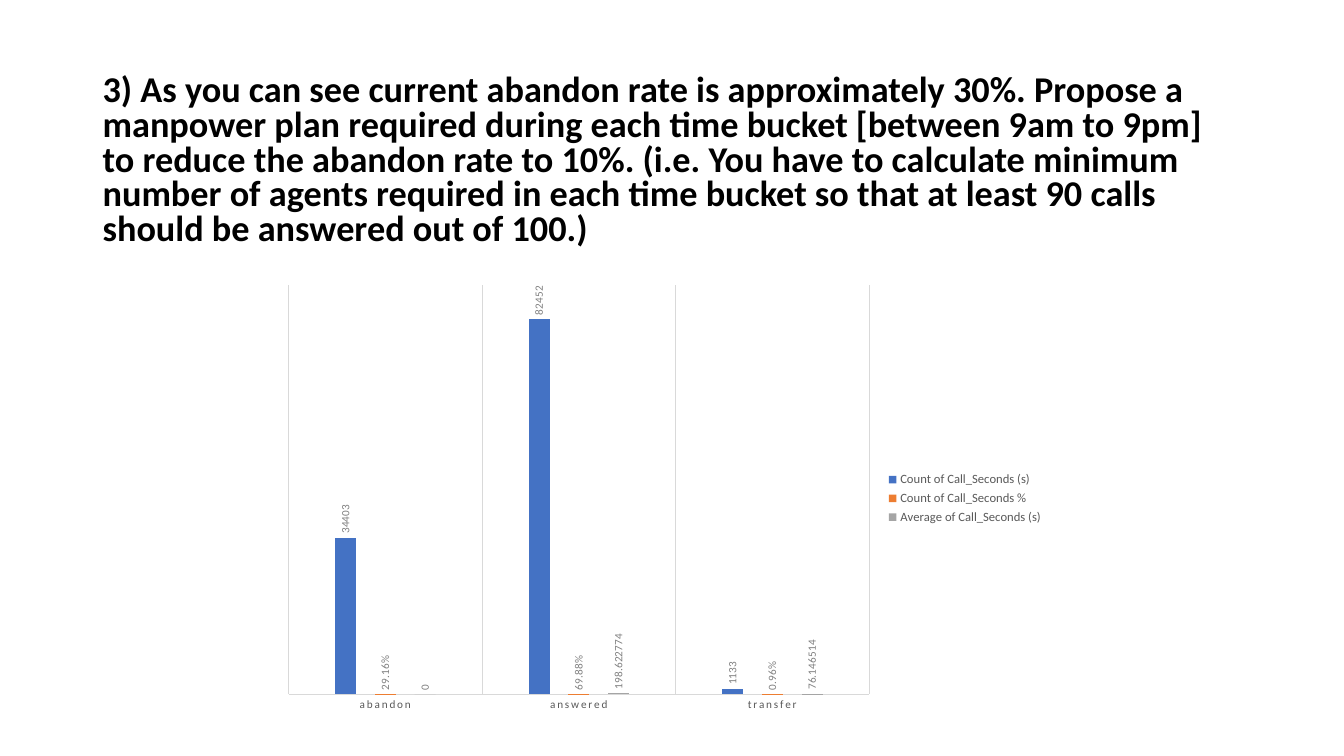
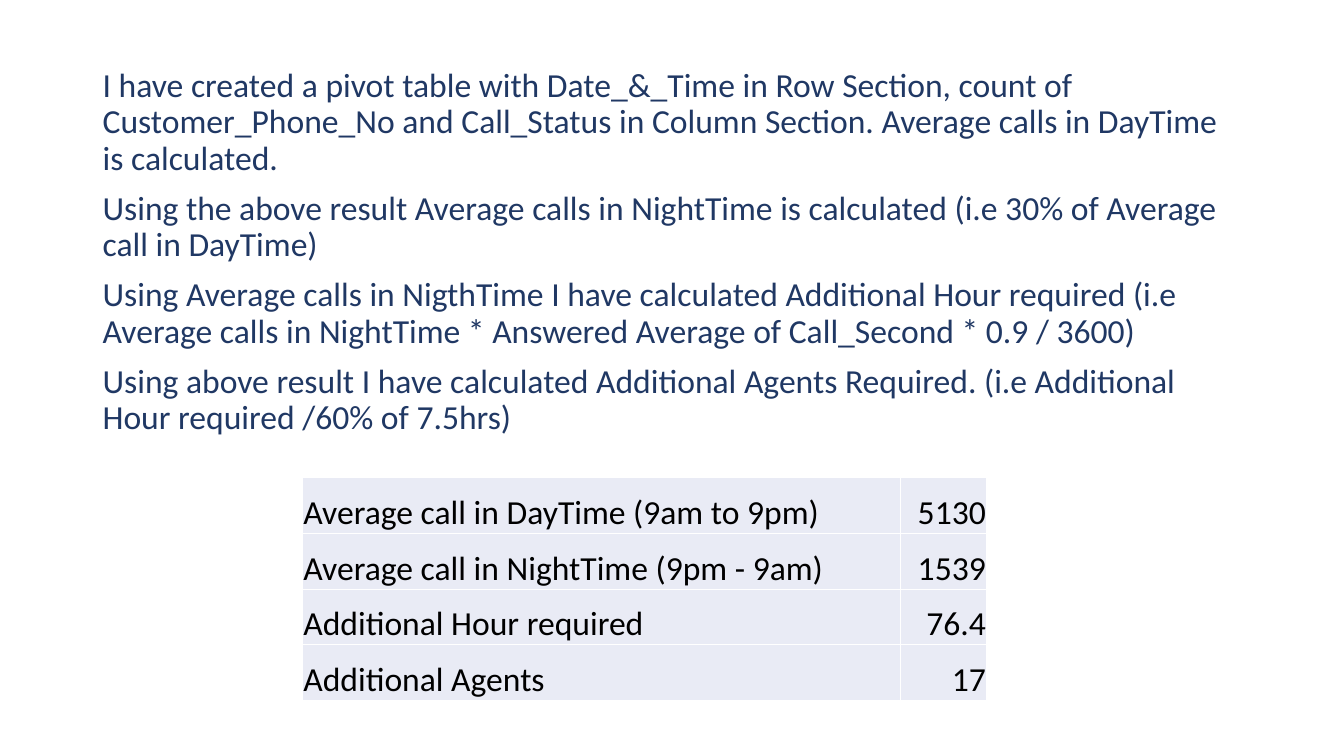
"""Builds two slides on call abandonment and the agents needed at night."""
from dataclasses import dataclass

from lxml.etree import SubElement
from pptx import Presentation
from pptx.chart.data import CategoryChartData
from pptx.dml.color import RGBColor
from pptx.enum.chart import XL_CHART_TYPE as ChartType
from pptx.enum.chart import XL_LABEL_POSITION as LabelPosition
from pptx.enum.chart import XL_LEGEND_POSITION as LegendPosition
from pptx.enum.chart import XL_TICK_MARK as TickMark
from pptx.enum.text import MSO_ANCHOR as Anchor
from pptx.enum.text import PP_ALIGN as Align
from pptx.oxml.ns import qn
from pptx.slide import Slide
from pptx.table import _Cell as Cell
from pptx.text.text import Font
from pptx.util import Inches, Pt

FONT_NAME = "Calibri"
BLACK = RGBColor(0x00, 0x00, 0x00)
WHITE = RGBColor(0xFF, 0xFF, 0xFF)
NAVY = RGBColor(0x20, 0x38, 0x64)
BLUE = RGBColor(0x44, 0x72, 0xC4)
ORANGE = RGBColor(0xED, 0x7D, 0x31)
GRAY = RGBColor(0xA5, 0xA5, 0xA5)
LABEL_GRAY = RGBColor(0x80, 0x80, 0x80)
AXIS_GRAY = RGBColor(0x59, 0x59, 0x59)
GRID_GRAY = RGBColor(0xD9, 0xD9, 0xD9)
TABLE_TINT = RGBColor(0xE9, 0xEB, 0xF5)

SLIDE_HEIGHT = 7.5
SLIDE_WIDTH = SLIDE_HEIGHT * 16 / 9
TEXT_LEFT, TEXT_WIDTH = 0.92, 11.5
COLUMN_WIDTHS = (5.93, 0.86)
TABLE_HEIGHT = 2.21


@dataclass(frozen=True)
class TextStyle:
    size: float
    color: RGBColor
    bold: bool = False


@dataclass(frozen=True)
class CallSeries:
    name: str
    values: tuple[float, ...]
    color: RGBColor
    number_format: str = "General"


QUESTION_STYLE = TextStyle(25.9, BLACK, True)
ANSWER_STYLE = TextStyle(24, NAVY)
TABLE_STYLE = TextStyle(24, BLACK)
CHART_STYLE = TextStyle(10, BLACK)
AXIS_STYLE = TextStyle(8, AXIS_GRAY)
LEGEND_STYLE = TextStyle(9, AXIS_GRAY)
LABEL_STYLE = TextStyle(8, LABEL_GRAY)

QUESTION = (
    "3) As you can see current abandon rate is approximately 30%. Propose a manpower plan "
    "required during each time bucket [between 9am to 9pm] to reduce the abandon rate to 10%. "
    "(i.e. You have to calculate minimum number of agents required in each time bucket so that "
    "at least 90 calls should be answered out of 100.)"
)
ANSWERS = [
    "I have created a pivot table with Date_&_Time in Row Section, count of Customer_Phone_No "
    "and Call_Status in Column Section. Average calls in DayTime is calculated.",
    "Using the above result Average calls in NightTime is calculated "
    "(i.e 30% of Average call in DayTime)",
    "Using Average calls in NigthTime I have calculated Additional Hour required "
    "(i.e Average calls in NightTime * Answered Average of Call_Second * 0.9 / 3600)",
    "Using above result I have calculated Additional Agents Required. "
    "(i.e Additional Hour required /60% of 7.5hrs)",
]
CALL_STATUSES = ("abandon", "answered", "transfer")
CALL_SERIES = [
    CallSeries("Count of Call_Seconds (s)", (34403, 82452, 1133), BLUE),
    CallSeries("Count of Call_Seconds %", (0.2916, 0.6988, 0.0096), ORANGE, "0.00%"),
    CallSeries("Average of Call_Seconds (s)", (0, 198.622774, 76.146514), GRAY),
]
STAFFING_ROWS = [
    ("Average call in DayTime (9am to 9pm)", "5130"),
    ("Average call in NightTime (9pm - 9am)", "1539"),
    ("Additional Hour required", "76.4"),
    ("Additional Agents", "17"),
]


def style_font(font: Font, style: TextStyle) -> None:
    font.name = FONT_NAME
    font.size = Pt(style.size)
    font.bold = style.bold
    font.color.rgb = style.color


def add_text(slide: Slide, top: float, height: float, texts: list[str],
             style: TextStyle, line_spacing: float) -> None:
    box = slide.shapes.add_textbox(
        Inches(TEXT_LEFT), Inches(top), Inches(TEXT_WIDTH), Inches(height))
    frame = box.text_frame
    frame.word_wrap = True
    for index, text in enumerate(texts):
        para = frame.add_paragraph() if index else frame.paragraphs[0]
        para.text = text
        para.line_spacing = line_spacing
        para.space_before = Pt(10 if index else 0)
        style_font(para.font, style)


def add_call_chart(slide: Slide) -> None:
    data = CategoryChartData()
    data.categories = CALL_STATUSES
    for item in CALL_SERIES:
        data.add_series(item.name, item.values, item.number_format)
    chart = slide.shapes.add_chart(
        ChartType.COLUMN_CLUSTERED, Inches(2.71), Inches(2.74),
        Inches(7.74), Inches(4.41), data).chart
    chart.has_title = False
    style_font(chart.font, CHART_STYLE)

    chart.has_legend = True
    chart.legend.position = LegendPosition.RIGHT
    chart.legend.include_in_layout = False
    style_font(chart.legend.font, LEGEND_STYLE)

    chart.value_axis.visible = False
    chart.value_axis.has_major_gridlines = False
    chart.value_axis.minimum_scale = 0
    chart.value_axis.maximum_scale = 90000

    axis = chart.category_axis
    axis.major_tick_mark = TickMark.NONE
    axis.has_major_gridlines = True
    for line in (axis.format.line, axis.major_gridlines.format.line):
        line.color.rgb = GRID_GRAY
        line.width = Pt(0.75)
    style_font(axis.tick_labels.font, AXIS_STYLE)
    axis._element.find(f"{qn('c:txPr')}//{qn('a:defRPr')}").set("spc", "120")

    plot = chart.plots[0]
    plot.gap_width = 444
    plot.overlap = -90
    plot.vary_by_categories = False
    for item, series in zip(CALL_SERIES, plot.series):
        series.format.fill.solid()
        series.format.fill.fore_color.rgb = item.color
        labels = series.data_labels
        labels.show_value = True
        labels.position = LabelPosition.OUTSIDE_END
        labels.number_format = item.number_format
        labels.number_format_is_linked = False
        style_font(labels.font, LABEL_STYLE)
        body = labels._element.find(f"{qn('c:txPr')}/{qn('a:bodyPr')}")
        body.set("rot", "-5400000")
        body.set("vert", "horz")


def add_cell_borders(cell: Cell) -> None:
    properties = cell._tc.get_or_add_tcPr()
    for side in ("L", "R", "T", "B"):
        line = SubElement(properties, qn(f"a:ln{side}"), w=str(Pt(1)))
        fill = SubElement(line, qn("a:solidFill"))
        SubElement(fill, qn("a:srgbClr"), val=str(WHITE))


def add_staffing_table(slide: Slide) -> None:
    table = slide.shapes.add_table(
        len(STAFFING_ROWS), len(COLUMN_WIDTHS), Inches(3), Inches(4.74),
        Inches(sum(COLUMN_WIDTHS)), Inches(TABLE_HEIGHT)).table
    table.first_row = False
    table.horz_banding = False
    for column, width in zip(table.columns, COLUMN_WIDTHS):
        column.width = Inches(width)
    for row, texts in zip(table.rows, STAFFING_ROWS):
        row.height = Inches(TABLE_HEIGHT / len(STAFFING_ROWS))
        for cell, text, align in zip(row.cells, texts, (Align.LEFT, Align.RIGHT)):
            add_cell_borders(cell)
            cell.fill.solid()
            cell.fill.fore_color.rgb = TABLE_TINT
            cell.vertical_anchor = Anchor.BOTTOM
            cell.margin_left = cell.margin_right = cell.margin_top = Inches(0.01)
            cell.margin_bottom = Inches(0)
            para = cell.text_frame.paragraphs[0]
            para.text = text
            para.alignment = align
            style_font(para.font, TABLE_STYLE)


def main() -> None:
    deck = Presentation()
    deck.slide_width, deck.slide_height = Inches(SLIDE_WIDTH), Inches(SLIDE_HEIGHT)
    blank = deck.slide_layouts[6]

    question_page = deck.slides.add_slide(blank)
    add_text(question_page, 0.69, 1.92, [QUESTION], QUESTION_STYLE, 0.8)
    add_call_chart(question_page)

    answer_page = deck.slides.add_slide(blank)
    add_text(answer_page, 0.63, 6.14, ANSWERS, ANSWER_STYLE, 0.9)
    add_staffing_table(answer_page)

    deck.save("out.pptx")


if __name__ == "__main__":
    main()
